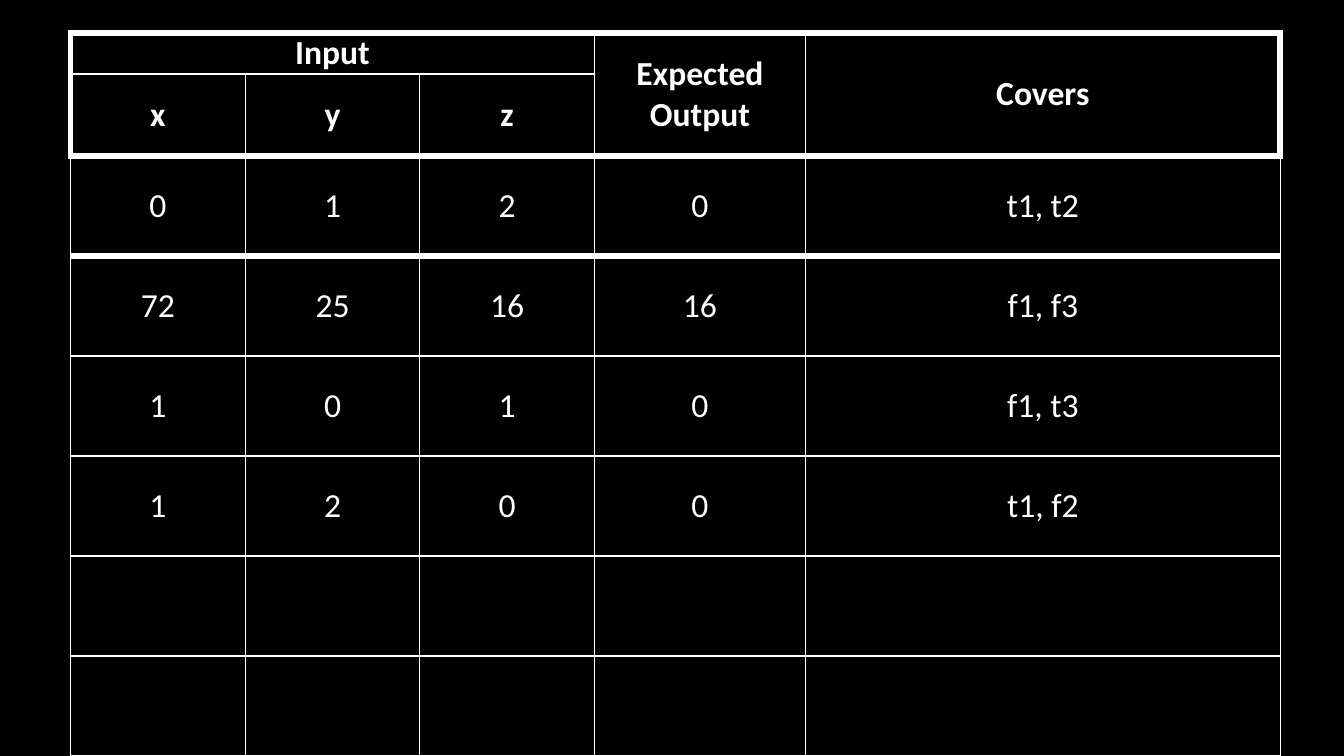
from dataclasses import dataclass

from lxml.etree import SubElement as Sub
from pptx import Presentation as Deck
from pptx.dml.color import RGBColor as Rgb
from pptx.enum.text import MSO_ANCHOR as Anchor, PP_ALIGN as Align
from pptx.oxml.ns import qn
from pptx.util import Cm, Pt


@dataclass(frozen=True)
class Theme:
    back: str = "000000"
    ink: str = "FFFFFF"
    font: str = "Calibri"
    size: float = 24
    thin: float = 1
    thick: float = 4.5


@dataclass(frozen=True)
class Entry:
    row: int
    col: int
    text: str
    bold: bool = False
    rows: int = 1
    cols: int = 1


THEME = Theme()
WIDTHS = [4.4, 4.4, 4.4, 5.32, 11.96]
HEADS = 2
HEIGHTS = [0.97] * HEADS + [2.52] * 6
HEAVY = {0, HEADS, HEADS + 1}  # row boundaries with a thick rule

# Header cells, then one row per test case
HEADER = [
    Entry(0, 0, "Input", True, cols=3),
    Entry(0, 3, "Expected Output", True, rows=2),
    Entry(0, 4, "Covers", True, rows=2),
    *(Entry(1, col, name, True) for col, name in enumerate("xyz")),
]
CASES = [
    ("0", "1", "2", "0", "t1, t2"),
    ("72", "25", "16", "16", "f1, f3"),
    ("1", "0", "1", "0", "f1, t3"),
    ("1", "2", "0", "0", "t1, f2"),
]
BODY = [
    Entry(row, col, text)
    for row, case in enumerate(CASES, HEADS)
    for col, text in enumerate(case)
]


def rule(cell, side: str, heavy: bool) -> None:
    """Draw one border of a cell."""
    width = Pt(THEME.thick if heavy else THEME.thin)
    line = Sub(cell._tc.get_or_add_tcPr(), qn(f"a:ln{side}"), w=str(width))
    fill = Sub(line, qn("a:solidFill"))
    Sub(fill, qn("a:srgbClr"), val=THEME.ink)


def frame(cell, row: int, col: int) -> None:
    """Give a cell its borders and clear its fill."""
    head = row < HEADS
    end = row + (cell.span_height if cell.is_merge_origin else 1)
    rule(cell, "L", head and col == 0)
    rule(cell, "R", head and col == len(WIDTHS) - 1)
    rule(cell, "T", row in HEAVY)
    rule(cell, "B", end in HEAVY)
    cell.fill.background()
    cell.margin_left = cell.margin_right = Cm(0.18)
    cell.margin_top = cell.margin_bottom = 0
    cell.vertical_anchor = Anchor.MIDDLE


def write(grid, entry: Entry) -> None:
    """Merge the span of an entry and set its text."""
    cell = grid.cell(entry.row, entry.col)
    if entry.rows * entry.cols > 1:
        last = grid.cell(entry.row + entry.rows - 1, entry.col + entry.cols - 1)
        cell.merge(last)
    cell.text = entry.text
    para = cell.text_frame.paragraphs[0]
    para.alignment = Align.CENTER
    font = para.font
    font.name, font.size, font.bold = THEME.font, Pt(THEME.size), entry.bold
    font.color.rgb = Rgb.from_string(THEME.ink)


def main() -> None:
    deck = Deck()
    deck.slide_width, deck.slide_height = Cm(33.87), Cm(19.05)
    slide = deck.slides.add_slide(deck.slide_layouts[6])
    back = slide.background.fill
    back.solid()
    back.fore_color.rgb = Rgb.from_string(THEME.back)

    # Table grid
    grid = slide.shapes.add_table(
        len(HEIGHTS), len(WIDTHS), Cm(1.78), Cm(0.83),
        Cm(sum(WIDTHS)), Cm(sum(HEIGHTS)),
    ).table
    grid.first_row = grid.horz_banding = False
    for column, width in zip(grid.columns, WIDTHS):
        column.width = Cm(width)
    for line, height in zip(grid.rows, HEIGHTS):
        line.height = Cm(height)

    # Text, then borders
    for entry in HEADER + BODY:
        write(grid, entry)
    for row in range(len(HEIGHTS)):
        for col in range(len(WIDTHS)):
            frame(grid.cell(row, col), row, col)

    deck.save("out.pptx")


if __name__ == "__main__":
    main()
